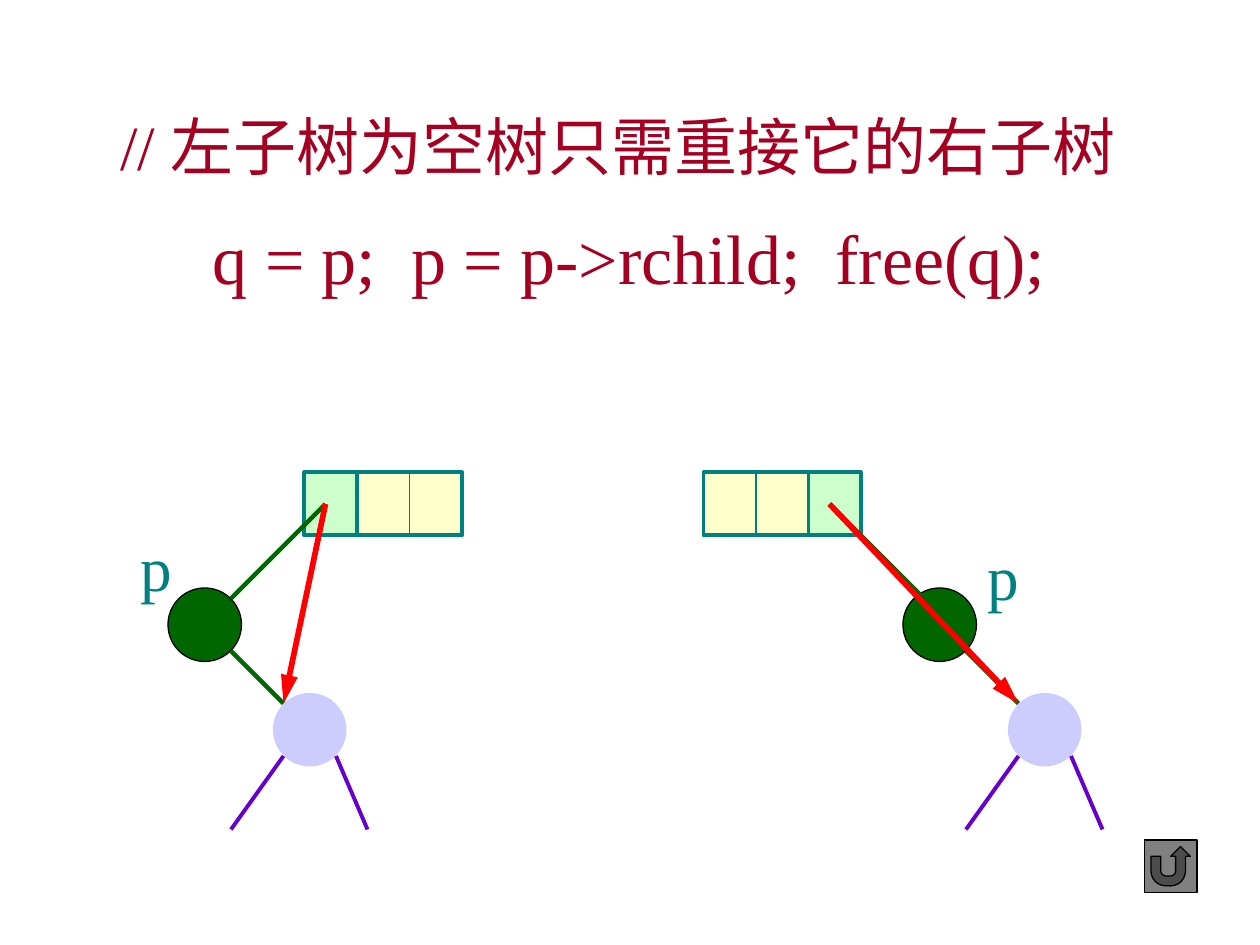
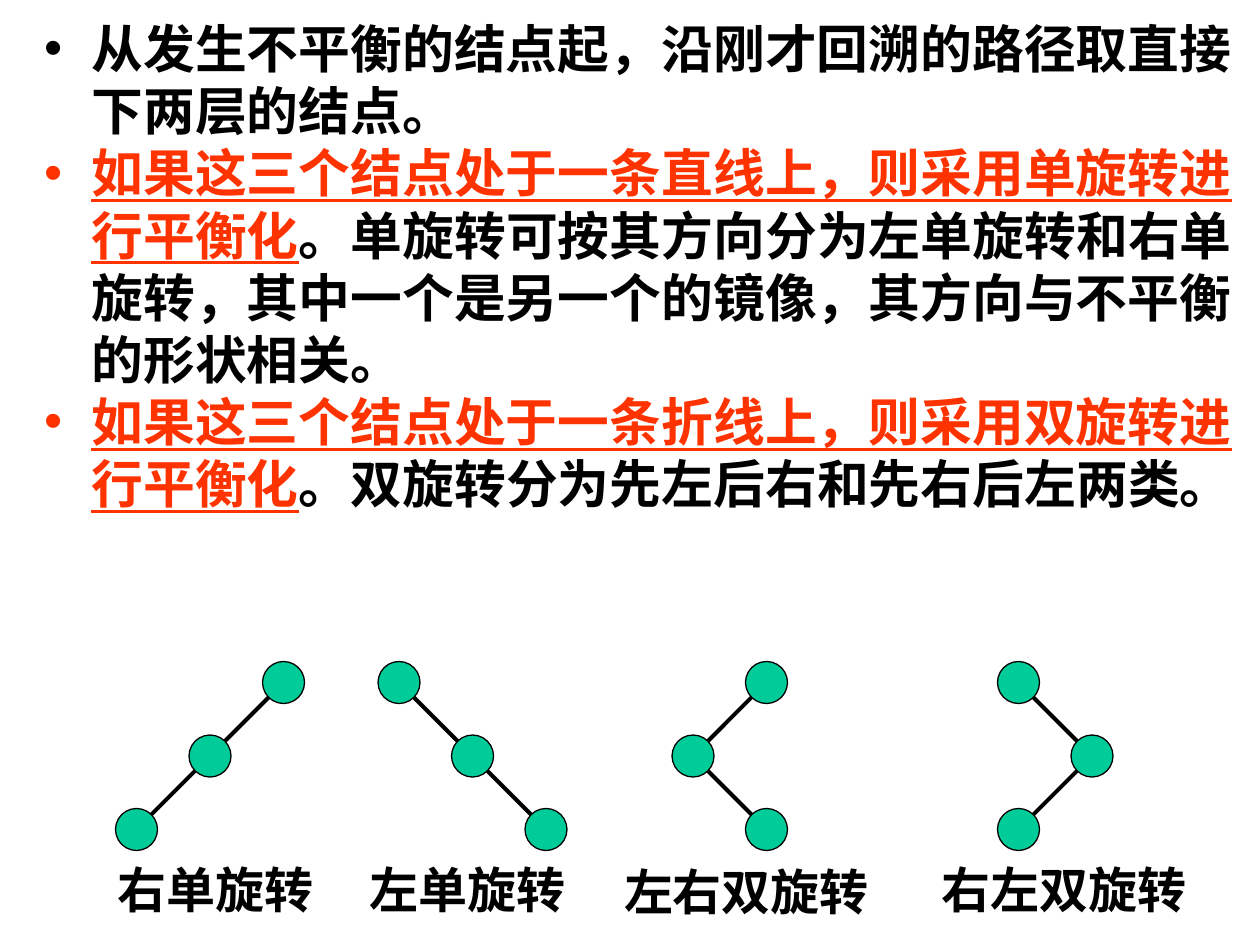
from lxml.etree import SubElement
from pptx import Presentation
from pptx.dml.color import RGBColor
from pptx.enum.shapes import MSO_CONNECTOR, MSO_SHAPE
from pptx.enum.text import MSO_ANCHOR, MSO_AUTO_SIZE, PP_ALIGN
from pptx.oxml.ns import qn
from pptx.util import Pt

FONT = "Times New Roman"
BLACK, CRIMSON, TEAL, RED = "000000", "A50021", "008080", "FF0000"
DARK_GREEN, MINT, CREAM = "006600", "CCFFCC", "FFFFCC"
LAVENDER, PURPLE = "CCCCFF", "6600CC"
NODE_GREEN, ORANGE = "00CC99", "FF3300"

presentation = Presentation()
presentation.slide_width = Pt(720)
presentation.slide_height = Pt(540)


def color(hex_string):
    return RGBColor.from_string(hex_string)


def draw(slide, kind, box, paint, width=0.75, fill=None, arrow=False):
    """Draw a line (kind None, box = x1, y1, x2, y2) or a filled preset shape."""
    lengths = [Pt(value) for value in box]
    if kind is None:
        item = slide.shapes.add_connector(MSO_CONNECTOR.STRAIGHT, *lengths)
        SubElement(item._element.spPr, qn("a:effectLst"))
    else:
        item = slide.shapes.add_shape(kind, *lengths)
        item.shadow.inherit = False
        item.fill.solid()
        item.fill.fore_color.rgb = color(fill)
    if paint:
        item.line.color.rgb = color(paint)
        item.line.width = Pt(width)
    else:
        item.line.fill.background()
    if arrow:
        outline = item._element.spPr.find(qn("a:ln"))
        SubElement(outline, qn("a:tailEnd"), type="triangle", len="lg")


# Slide 1: deleting a node with an empty left subtree
slide = presentation.slides.add_slide(presentation.slide_layouts[5])
texts = [(slide.shapes.title, "// 左子树为空树只需重接它的右子树",
          (61.5, 36, 620, 72), 36, CRIMSON, False)]

# Each tree: offset, record left, pointer cell left, link end, label position
for offset, record_left, pointer_left, link_x, label_left, label_top in (
        (0, 204, 174, 132, 73, 298.5), (420, 402, 462, 528, 557, 303.5)):
    # Parent record with its pointer cell
    draw(slide, MSO_SHAPE.RECTANGLE, (pointer_left, 270, 30, 36), TEAL, 2.25, MINT)
    draw(slide, MSO_SHAPE.RECTANGLE, (record_left, 270, 60, 36), TEAL, 2.25, CREAM)
    draw(slide, None, (record_left + 30, 270, record_left + 30, 306), TEAL)

    # Node p, its right child and the child's branches
    draw(slide, MSO_SHAPE.OVAL, (offset + 96, 336, 42, 42), BLACK, fill=DARK_GREEN)
    draw(slide, MSO_SHAPE.OVAL, (offset + 156, 396, 42, 42), None, fill=LAVENDER)
    for start, end in ((162, 132), (192, 210)):
        draw(slide, None, (offset + start, 432, offset + end, 474), PURPLE, 2.25)
    draw(slide, None, (offset + 132, 372, offset + 162, 402), DARK_GREEN, 2.5)

    # Old link to p and new link to the child
    pointer_x = pointer_left + 12
    draw(slide, None, (pointer_x, 288, link_x, 342), DARK_GREEN, 2.5)
    draw(slide, None, (pointer_x, 288, offset + 162, 402), RED, 3.25, arrow=True)
    texts.append((slide.shapes.add_textbox(0, 0, 0, 0), "p",
                  (label_left, label_top, 32.5, 50.5), 36, TEAL, False))

texts.append((slide.shapes.add_textbox(0, 0, 0, 0), "q = p;  p = p->rchild;  free(q);",
              (114.5, 119, 490, 55.5), 40, CRIMSON, False))
draw(slide, MSO_SHAPE.ACTION_BUTTON_RETURN, (654, 480, 30, 30), BLACK, fill="808080")

# Slide 2: choosing the rotation
slide = presentation.slides.add_slide(presentation.slide_layouts[1])
title = slide.shapes.title
title._element.getparent().remove(title._element)

# Rules: highlighted part, plain part
rules = [
    ("", "从发生不平衡的结点起，沿刚才回溯的路径取直接下两层的结点。"),
    ("如果这三个结点处于一条直线上，则采用单旋转进行平衡化",
     "。单旋转可按其方向分为左单旋转和右单旋转，其中一个是另一个的镜像，"
     "其方向与不平衡的形状相关。"),
    ("如果这三个结点处于一条折线上，则采用双旋转进行平衡化",
     "。双旋转分为先左后右和先右后左两类。"),
]
body = slide.placeholders[1]
body.left, body.top, body.width, body.height = Pt(18), Pt(6), Pt(708), Pt(348)
frame = body.text_frame
frame.auto_size = MSO_AUTO_SIZE.NONE
for index, (highlight, plain) in enumerate(rules):
    paragraph = frame.paragraphs[0] if index == 0 else frame.add_paragraph()
    paragraph.line_spacing = 1.0
    paragraph.space_before = Pt(0)
    bullet_color = SubElement(paragraph._p.get_or_add_pPr(), qn("a:buClr"))
    SubElement(bullet_color, qn("a:srgbClr"), val=ORANGE if highlight else BLACK)
    for part, paint in ((highlight, ORANGE), (plain, BLACK)):
        if part:
            run = paragraph.add_run()
            run.text = part
            run.font.name = FONT
            run.font.size = Pt(29.6)
            run.font.bold = True
            run.font.underline = paint == ORANGE
            run.font.color.rgb = color(paint)

# Four three-node chains: node centres across, label and its box
NODE_ROWS = (390, 432, 474)
chains = [
    ((162, 120, 78), "右单旋转", (60, 487.5, 126, 41)),
    ((228, 270, 312), "左单旋转", (204, 487.5, 126, 41)),
    ((438, 396, 438), "左右双旋转", (349.5, 489, 154, 41)),
    ((582, 624, 582), "右左双旋转", (531, 487.5, 154, 41)),
]
for columns, label, box in chains:
    centres = list(zip(columns, NODE_ROWS))
    for start, end in zip(centres, centres[1:]):
        draw(slide, None, start + end, BLACK, 2.25)
    for x, y in centres:
        draw(slide, MSO_SHAPE.OVAL, (x - 12, y - 12, 24, 24), BLACK, fill=NODE_GREEN)
    texts.append((slide.shapes.add_textbox(0, 0, 0, 0), label, box, 28, BLACK, True))

# Headings and labels of both slides
for shape, text, box, size, paint, bold in texts:
    shape.left, shape.top, shape.width, shape.height = [Pt(value) for value in box]
    frame = shape.text_frame
    frame.text = text
    # The title keeps its left edge by wrapping in a box wider than its line
    frame.word_wrap = shape.is_placeholder
    frame.auto_size = MSO_AUTO_SIZE.NONE
    frame.vertical_anchor = MSO_ANCHOR.TOP
    paragraph = frame.paragraphs[0]
    paragraph.alignment = PP_ALIGN.LEFT
    paragraph.line_spacing = 1.5 if shape.is_placeholder else 1.0
    font = paragraph.runs[0].font
    font.name, font.size, font.bold = FONT, Pt(size), bold
    font.color.rgb = color(paint)

presentation.save("out.pptx")
